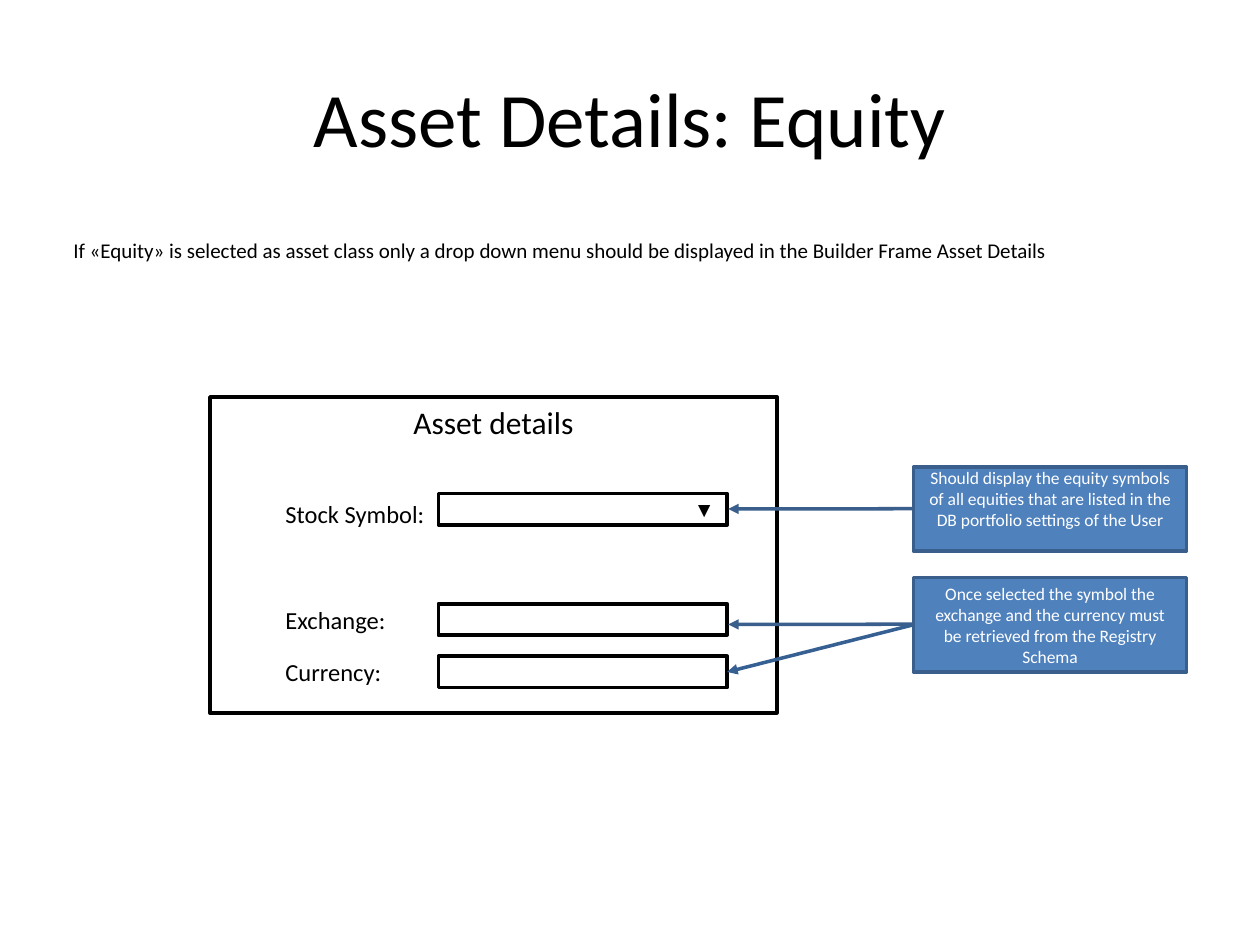
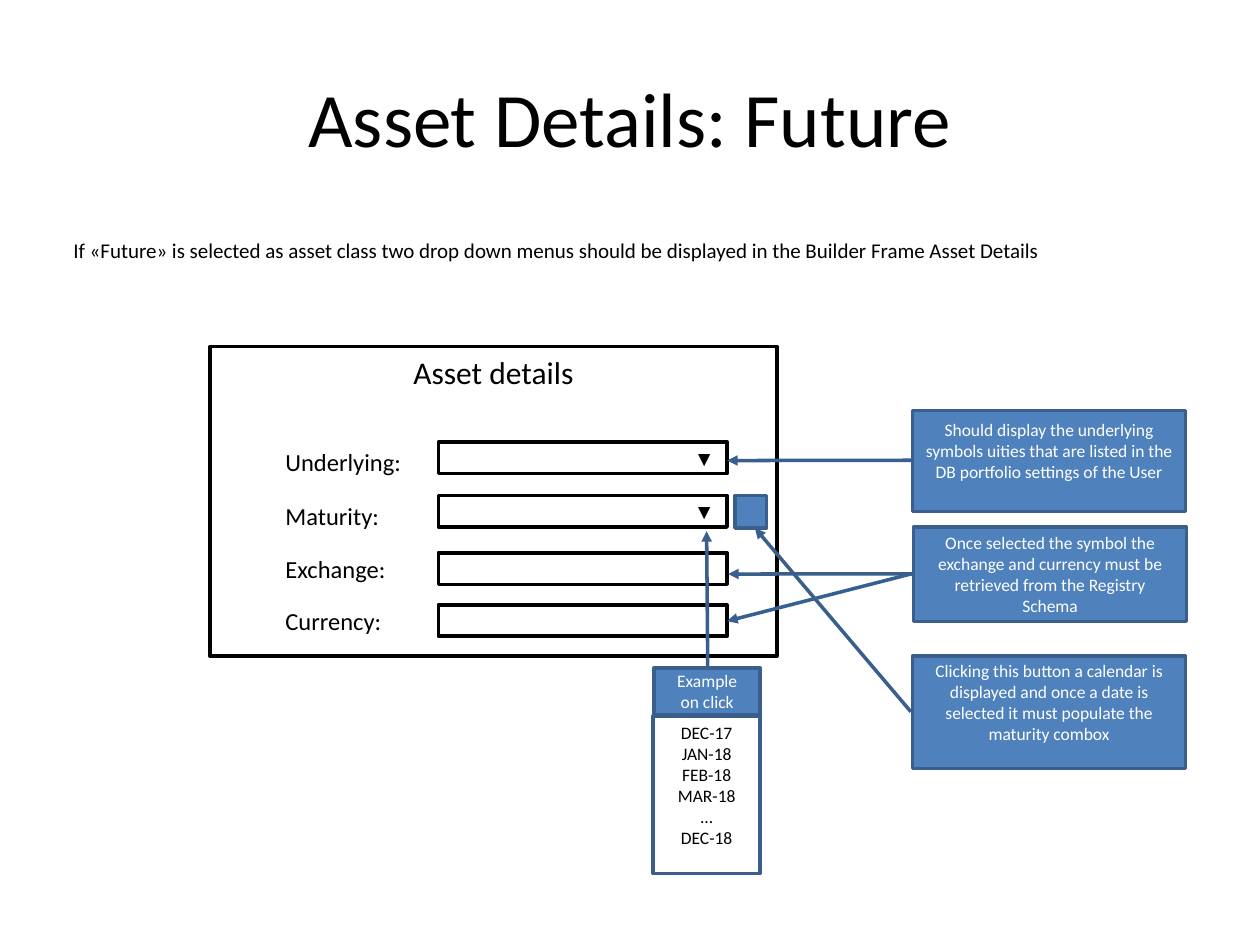
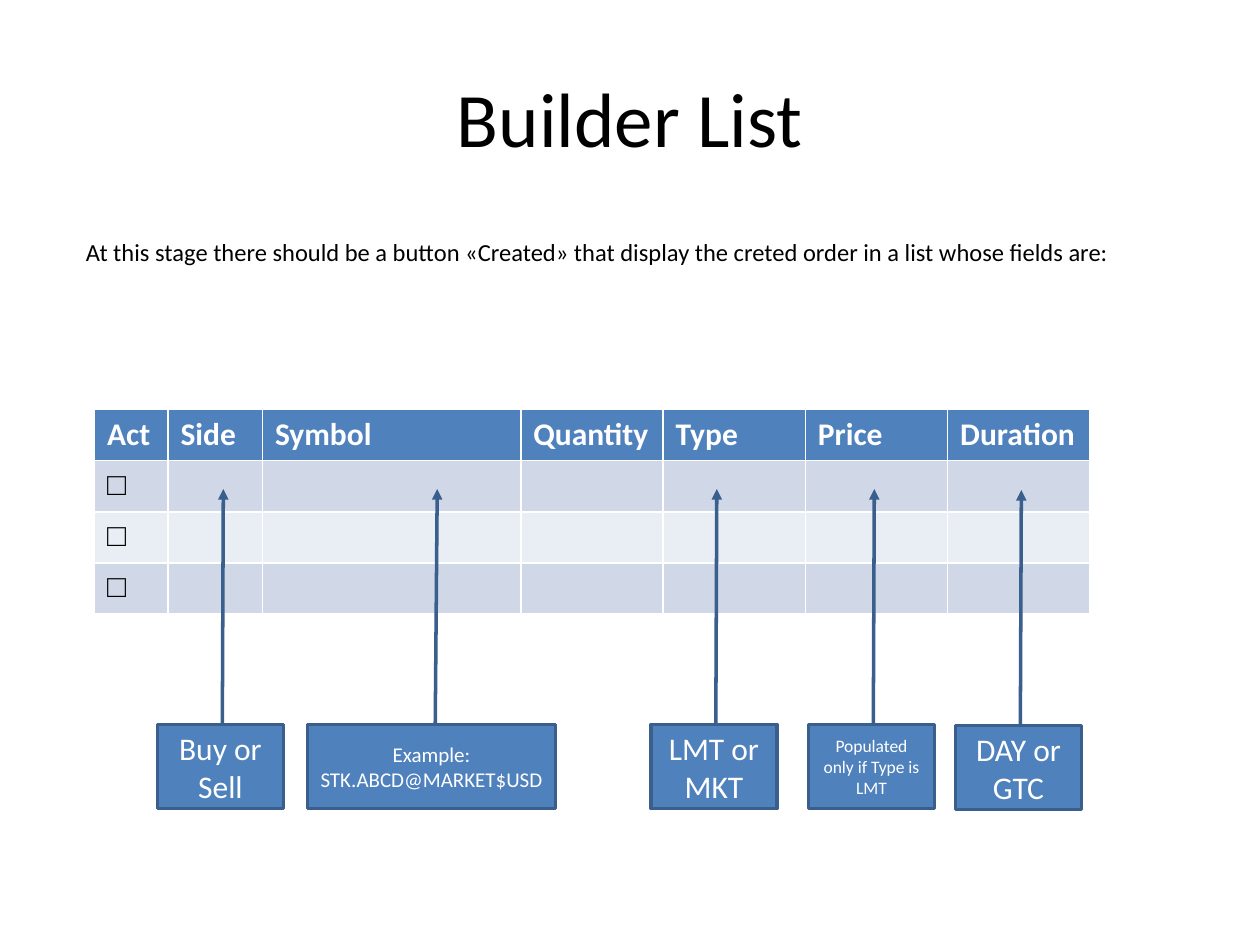
from pptx import Presentation
from pptx.util import Inches, Pt
from pptx.dml.color import RGBColor
from pptx.enum.shapes import MSO_SHAPE, MSO_CONNECTOR
from pptx.enum.text import PP_ALIGN, MSO_ANCHOR
from pptx.oxml.ns import qn
from lxml.etree import SubElement

BLACK = RGBColor(0, 0, 0)
WHITE = RGBColor(255, 255, 255)
BLUE = RGBColor(0x4F, 0x81, 0xBD)
EDGE = RGBColor(0x3A, 0x5F, 0x8C)
ARROW = RGBColor(0x37, 0x60, 0x92)
BANDS = [RGBColor(0xD0, 0xD8, 0xE8), RGBColor(0xE9, 0xED, 0xF4)]
LEFT, MID, RIGHT = PP_ALIGN.LEFT, PP_ALIGN.CENTER, PP_ALIGN.RIGHT
TOP, CORE = MSO_ANCHOR.TOP, MSO_ANCHOR.MIDDLE
RECT, CALL = MSO_SHAPE.RECTANGLE, MSO_SHAPE.LINE_CALLOUT_1

deck = Presentation()
deck.slide_width, deck.slide_height = Inches(10), Inches(7.5)
UNIT = deck.slide_width / 120


def write(frame, lines, size, hue=BLACK, align=LEFT, name="Calibri", bold=False, **form):
    for key, value in form.items():
        setattr(frame, key, value)
    frame.text = "\n".join(lines)
    for para in frame.paragraphs:
        para.alignment = align
        for run in para.runs:
            for key, value in {"size": Pt(size), "name": name, "bold": bold}.items():
                setattr(run.font, key, value)
            run.font.color.rgb = hue


def draw(slide, kind, area, fill=None, edge=BLACK, aim=()):
    shape = slide.shapes.add_shape(kind, *[int(n * UNIT) for n in area])
    shape.shadow.inherit = False
    if fill is None:
        shape.fill.background()
    else:
        shape.fill.solid()
        shape.fill.fore_color.rgb = fill
    shape.line.color.rgb = edge
    shape.line.width = Pt(2)
    for spot, value in enumerate(aim):
        shape.adjustments[spot] = value
    if aim:
        SubElement(shape.line._get_or_add_ln(), qn("a:tailEnd"), type="triangle")
    return shape


SIDE = (0.494, -0.006, 0.497, -0.679)
CLICK = (-0.006, 0.506, -2.892, 0.495)
DATE = (0.494, -0.006, -1.141, -0.577)
RISE = (-0.017, 0.515, -2.804, 0.523)
FORMS = [
    {
        "title": "Asset Details: Equity",
        "intro": "If «Equity» is selected as asset class only a drop down menu should be displayed in the Builder Frame Asset Details",
        "panel": (20, 37.8, 54, 30.1),
        "rows": [("Stock Symbol:", 47, 15.7, True), ("Exchange:", 57.5, 12.1, False),
                 ("Currency:", 62.5, 11.6, False)],
        "notes": [
            ((87, 44.5, 26, 8), SIDE, 2, "Should display the equity symbols of all equities that are listed in the DB portfolio settings of the User"),
            ((87, 55, 26, 9), SIDE, 0, "Once selected the symbol the exchange and the currency must be retrieved from the Registry Schema"),
        ],
        "line": (87, 59.5, 69.25, 64),
    },
    {
        "title": "Asset Details: Future",
        "intro": "If «Future» is selected as asset class two drop down menus should be displayed in the Builder Frame Asset Details",
        "panel": (20, 33, 54, 29.5),
        "rows": [("Underlying:", 42.1, 13.5, True), ("Maturity:", 47.2, 11.5, True),
                 ("Exchange:", 52.65, 12.1, False), ("Currency:", 57.6, 11.6, False)],
        "notes": [
            ((86.9, 39.1, 26, 9.6), SIDE, 2, "Should display the underlying symbols uities that are listed in the DB portfolio settings of the User"),
            ((87, 50.2, 26, 9), SIDE, 0, "Once selected the symbol the exchange and currency must be retrieved from the Registry Schema"),
            ((62.3, 63.6, 10.1, 4.5), CLICK, 0, "Example on click"),
            ((86.9, 62.5, 26, 10.7), DATE, 2, "Clicking this button a calendar is displayed and once a date is selected it must populate the maturity combox"),
        ],
        "line": (87, 54.6, 69.25, 59.15),
    },
]
LIST = {
    "title": "Builder List",
    "intro": "At this stage there should be a button «Created» that display the creted order in a list whose fields are:",
}

pages = []
for form in FORMS + [LIST]:
    slide = deck.slides.add_slide(deck.slide_layouts[5])
    pages.append(slide)
    title = slide.shapes.title
    place = {"left": 6, "top": 3.6, "width": 108, "height": 15}
    for key, value in place.items():
        setattr(title, key, int(value * UNIT))
    write(title.text_frame, [form["title"]], 44, align=MID, vertical_anchor=CORE)
    last = form is LIST
    area = (7, 22, 100.2, 4.1) if last else (5.8, 22, 107.3, 3.6)
    intro = slide.shapes.add_textbox(*[int(n * UNIT) for n in area])
    write(intro.text_frame, [form["intro"]], 14 if last else 12, word_wrap=not last)

for slide, form in zip(pages, FORMS):
    panel = draw(slide, RECT, form["panel"])
    write(panel.text_frame, ["Asset details"], 18, align=MID, vertical_anchor=TOP)
    for name, y, wide, menu in form["rows"]:
        field = draw(slide, RECT, (41.75, y, 27.5, 3))
        if menu:
            write(field.text_frame, ["▼"], 12, align=RIGHT, name="Arial", vertical_anchor=CORE)
        area = (26, y - (0.1 if menu else 0.5), wide, 4.1)
        label = slide.shapes.add_textbox(*[int(n * UNIT) for n in area])
        write(label.text_frame, [name], 14, word_wrap=False)
    for area, aim, pad, text in form["notes"]:
        note = draw(slide, CALL, area, BLUE, EDGE, aim)
        write(note.text_frame, [text], 10, WHITE, MID, vertical_anchor=CORE,
              margin_top=0, margin_bottom=int(pad * UNIT))
    link = slide.shapes.add_connector(MSO_CONNECTOR.STRAIGHT, *[int(n * UNIT) for n in form["line"]])
    link.line.color.rgb = ARROW
    link.line.width = Pt(2)
    SubElement(link.line._get_or_add_ln(), qn("a:tailEnd"), type="triangle")
    SubElement(link._element.spPr, qn("a:effectLst"))

draw(pages[1], RECT, (70, 47.2, 3, 3.1), BLUE, EDGE)
dates = draw(pages[1], RECT, (62.2, 68.2, 10.2, 15), None, EDGE)
write(dates.text_frame, ["DEC-17", "JAN-18", "FEB-18", "MAR-18", "...", "DEC-18"], 10,
      align=MID, vertical_anchor=TOP)

HEADS = ["Act", "Side", "Symbol", "Quantity", "Type", "Price", "Duration"]
WIDTHS = [7, 9, 24.6] + [13.55] * 4
area = (9, 39, sum(WIDTHS), 19.5)
table = pages[2].shapes.add_table(4, len(HEADS), *[int(n * UNIT) for n in area]).table
for col, (head, wide) in enumerate(zip(HEADS, WIDTHS)):
    table.columns[col].width = int(wide * UNIT)
    for row in range(4):
        cell = table.cell(row, col)
        cell.fill.solid()
        cell.fill.fore_color.rgb = BANDS[(row - 1) % 2] if row else BLUE
        if row == 0:
            write(cell.text_frame, [head], 18, WHITE, bold=True)
        elif col == 0:
            write(cell.text_frame, ["□"], 18, name="Arial")

NOTES = [
    (15, 69, 12, 18, ["Buy or Sell"]),
    (29.3, 69, 23.6, 12, ["Example:", "STK.ABCD@MARKET$USD"]),
    (62, 69, 12, 18, ["LMT or MKT"]),
    (77, 69, 12, 10, ["Populated only if Type is LMT"]),
    (91, 69.1, 12, 18, ["DAY or GTC"]),
]
for x, y, wide, size, lines in NOTES:
    note = draw(pages[2], CALL, (x, y, wide, 8), BLUE, EDGE, RISE)
    write(note.text_frame, lines, size, WHITE, MID, vertical_anchor=CORE)

deck.save("out.pptx")
